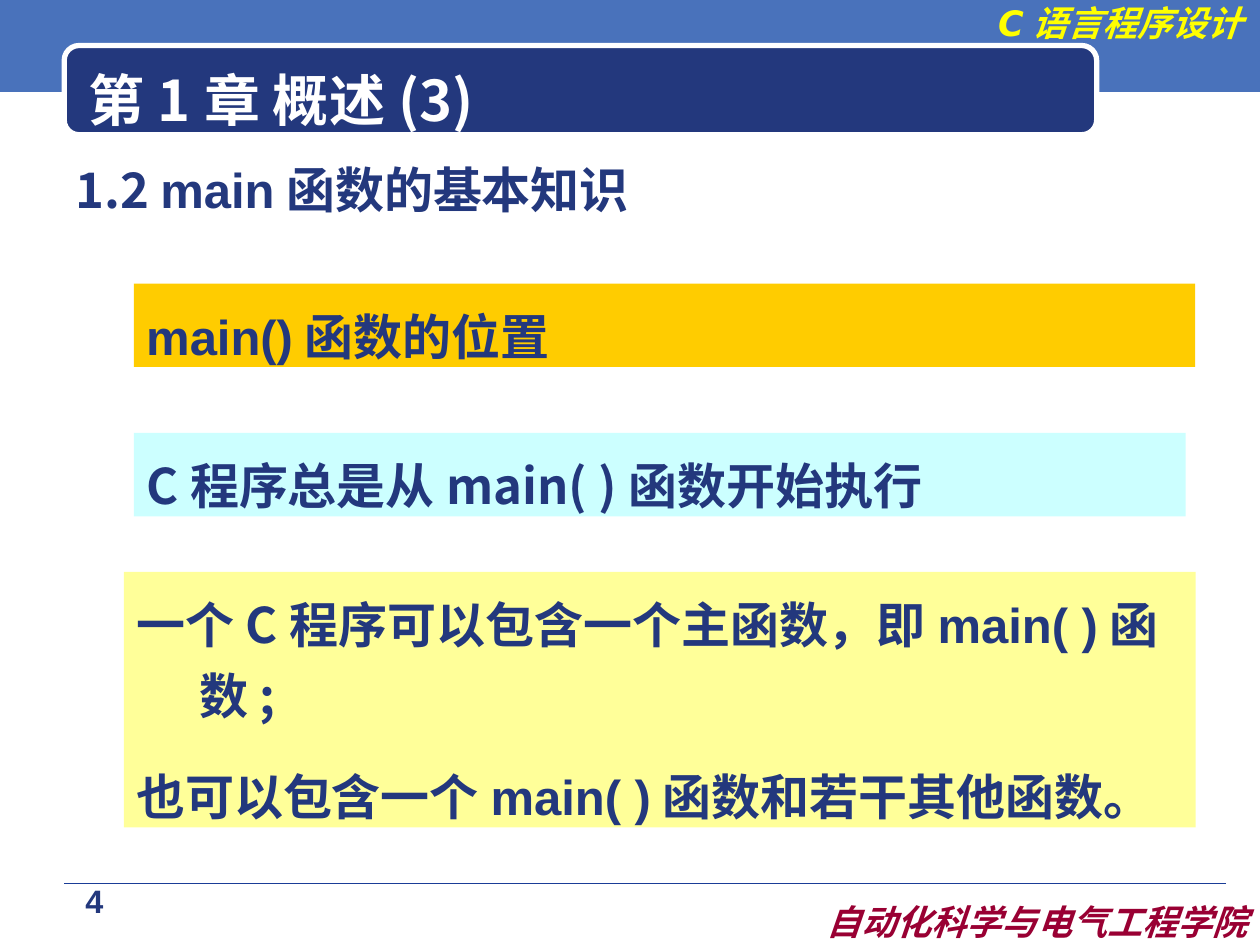
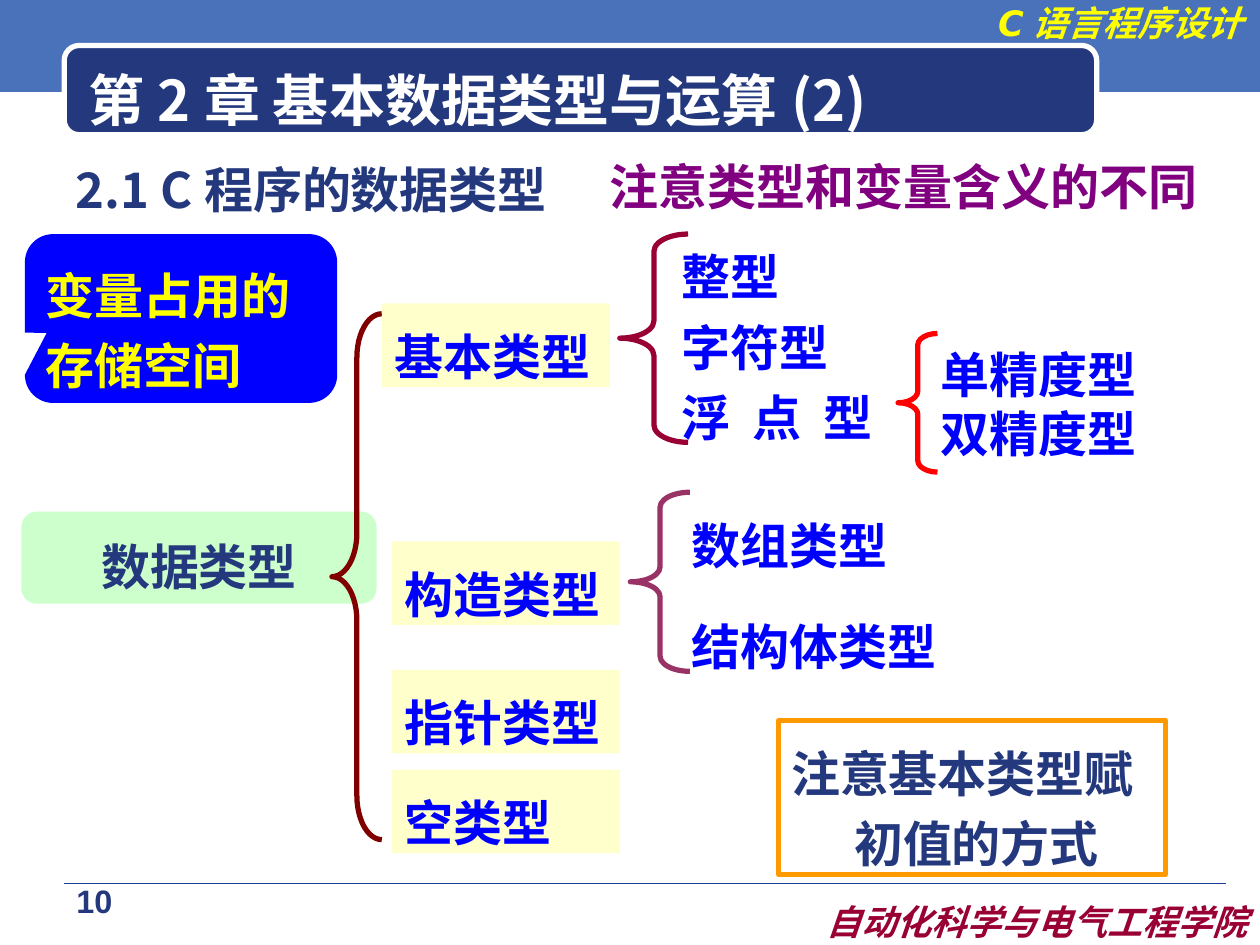
from pptx import Presentation
from pptx.dml.color import RGBColor
from pptx.enum import shapes, text
from pptx.oxml.ns import qn
from pptx.util import Pt
from lxml import etree

HUES = {
    "band": "4972BB", "navy": "23387D", "rule": "1A3D97", "white": "FFFFFF",
    "sun": "FFFF00", "wine": "990033", "gold": "FFCC00", "aqua": "CCFFFF",
    "lemon": "FFFF99", "cream": "FFFFCC", "mint": "CCFFCC", "blue": "0000FF",
    "brown": "800000", "plum": "993366", "red": "FF0000", "amber": "FF9900",
    "violet": "800080",
}
SANS, HAN, DEJA = "Arial", "Noto Sans CJK SC", "DejaVu Sans"
KIND = shapes.MSO_SHAPE
LEFT, MID, RIGHT = text.PP_ALIGN.LEFT, text.PP_ALIGN.CENTER, text.PP_ALIGN.RIGHT
TOP, CORE = text.MSO_ANCHOR.TOP, text.MSO_ANCHOR.MIDDLE
HANG = 36
GAP = 17.5


def hue(name):
    return RGBColor.from_string(HUES[name])


def place(shape, box):
    shape.left, shape.top, shape.width, shape.height = map(Pt, box)


def write(shape, paras, tint="navy", font=HAN, size=28, align=LEFT, anchor=TOP,
          lead=1.2, gap=0, hang=0, wrap=True, slant=False):
    frame = shape.text_frame
    frame.auto_size = text.MSO_AUTO_SIZE.NONE
    frame.word_wrap = wrap
    frame.vertical_anchor = anchor
    frame.margin_left = frame.margin_right = Pt(7.2)
    frame.margin_top, frame.margin_bottom = Pt(3.6 + size / 10), Pt(3.6)
    for i, runs in enumerate(paras):
        para = frame.add_paragraph() if i else frame.paragraphs[0]
        para.alignment = align
        para.line_spacing = Pt(round(size * 1.2 * lead, 1))
        para.space_before = Pt(gap if i else 0)
        props = para._p.get_or_add_pPr()
        props.set("marL", str(Pt(hang)))
        props.set("indent", str(Pt(-hang)))
        etree.SubElement(props, qn("a:buNone"))
        for part in [runs] if isinstance(runs, str) else runs:
            words, face = (part, font) if isinstance(part, str) else part
            run = para.add_run()
            run.text = words
            run.font.name = face
            run.font.size = Pt(size)
            run.font.bold = True
            run.font.italic = slant
            run.font.color.rgb = hue(tint)
            east = etree.SubElement(run._r.get_or_add_rPr(), qn("a:ea"))
            east.set("typeface", HAN)


def draw(slide, kind, box, fill=None, line=None, bends=()):
    shape = slide.shapes.add_shape(kind, *map(Pt, box))
    shape.shadow.inherit = False
    for i, bend in enumerate(bends):
        shape.adjustments[i] = bend
    if fill:
        shape.fill.solid()
        shape.fill.fore_color.rgb = hue(fill)
    else:
        shape.fill.background()
    if line:
        shape.line.color.rgb = hue(line)
        shape.line.width = Pt(3)
    else:
        shape.line.fill.background()
    return shape


def label(slide, box, paras, **style):
    write(slide.shapes.add_textbox(*map(Pt, box)), paras, **style)


def panel(slide, box, paras, fill=None, line=None, **style):
    shape = draw(slide, KIND.RECTANGLE, box, fill, line)
    write(shape, paras, gap=GAP, hang=HANG, **style)


def brace(slide, box, tint):
    wide, high = box[2:]
    draw(slide, KIND.LEFT_BRACE, box, line=tint, bends=(high / 12 / wide, 0.5))


def frame(deck, title, head, page):
    slide = deck.slides.add_slide(deck.slide_layouts[1])
    draw(slide, KIND.RECTANGLE, (0, -2, 720, 54.5), "band")
    rule = slide.shapes.add_connector(
        shapes.MSO_CONNECTOR.STRAIGHT, *map(Pt, (36.7, 504.7, 700.5, 504.7)))
    rule.line.color.rgb = hue("rule")
    rule.line.width = Pt(0.5)
    etree.SubElement(rule._element.spPr, qn("a:effectLst"))
    draw(slide, KIND.ROUNDED_RECTANGLE, (36.7, 26, 590, 51), "navy", "white", (0.167,))
    mark = dict(font=DEJA, size=20, align=RIGHT, lead=1, slant=True)
    label(slide, (535.7, -5, 181.5, 31.5), ["C语言程序设计"], tint="sun", **mark)
    label(slide, (429, 509, 291, 31.5), ["自动化科学与电气工程学院"], tint="wine", **mark)
    label(slide, (14.4, 500.5, 79, 31), [page], font=SANS, size=18.5, align=MID, lead=0.9)
    top, body = slide.shapes.title, slide.placeholders[1]
    for holder, box in ((top, (43.2, 33, 564, 44.6)), (body, (36, 85, 648, 413))):
        slide.shapes._spTree.append(holder._element)
        place(holder, box)
    write(top, [title], tint="white", size=32, anchor=CORE, lead=1)
    write(body, [head], lead=1)
    return slide


def basics(deck):
    slide = frame(deck, "第1章 概述(3)",
                  ["1.2 ", ("main", SANS), "函数的基本知识"], "4")
    call = ("main( )", SANS)
    panel(slide, (76.5, 162, 606.5, 47.7), [[("main()", SANS), "函数的位置"]], "gold")
    panel(slide, (76.5, 247.4, 601, 47.7), ["C程序总是从main( )函数开始执行"], "aqua")
    panel(slide, (70.8, 326.8, 612.5, 146), [
        ["一个C程序可以包含一个主函数，即", call, "函数;"],
        ["也可以包含一个", call, "函数和若干其他函数。"],
    ], "lemon")


def tree(slide, box):
    x, y = box
    root = draw(slide, KIND.ROUNDED_RECTANGLE, (x, y + 163.6, 203, 52.6),
                "mint", bends=(0.167,))
    write(root, ["数据类型"], font=SANS, align=MID, anchor=CORE, wrap=False)
    brace(slide, (x + 177.5, y + 50.5, 28.5, 300.5), "brown")
    leaf = dict(tint="blue", font=SANS)
    for name, dx, dy in (("基本类型", 206, 44.6), ("构造类型", 211.7, 180.6),
                         ("指针类型", 211.7, 254), ("空类型", 211.7, 311)):
        panel(slide, (x + dx, y + dy, 130.3, 47.7), [name], "cream", **leaf)
    brace(slide, (x + 342, y + 5, 39, 119), "wine")
    label(slide, (x + 370, y - 0.8, 170, 128), ["整型", "字符型", "浮  点  型"], **leaf)
    brace(slide, (x + 348, y + 152.5, 34, 102.3), "plum")
    label(slide, (x + 376, y + 152.5, 164, 106), ["数组类型", "结构体类型"],
          gap=GAP, **leaf)
    label(slide, (x + 518, y + 61.8, 130.3, 75), ["单精度型", "双精度型"], lead=1, **leaf)
    brace(slide, (x + 501, y + 61.8, 22.5, 79.2), "red")


def types(deck):
    slide = frame(deck, "第2章 基本数据类型与运算(2)", "2.1 C程序的数据类型", "10")
    tree(slide, (12.2, 128.8))
    note = draw(slide, KIND.ROUNDED_RECTANGULAR_CALLOUT, (14.2, 133.8, 178.5, 96.5),
                "blue", bends=(-0.43, 0.086, 0.167))
    write(note, ["变量占用的", "存储空间"], tint="sun", font=SANS)
    panel(slide, (445, 411.7, 221, 88), ["注意基本类型赋初值的方式"],
          line="amber", font=SANS)
    label(slide, (332, 83, 368.5, 36), ["注意类型和变量含义的不同"],
          tint="violet", align=MID, lead=1, wrap=False)


def main():
    deck = Presentation()
    deck.slide_width, deck.slide_height = Pt(720), Pt(540)
    basics(deck)
    types(deck)
    deck.save("out.pptx")


if __name__ == "__main__":
    main()
